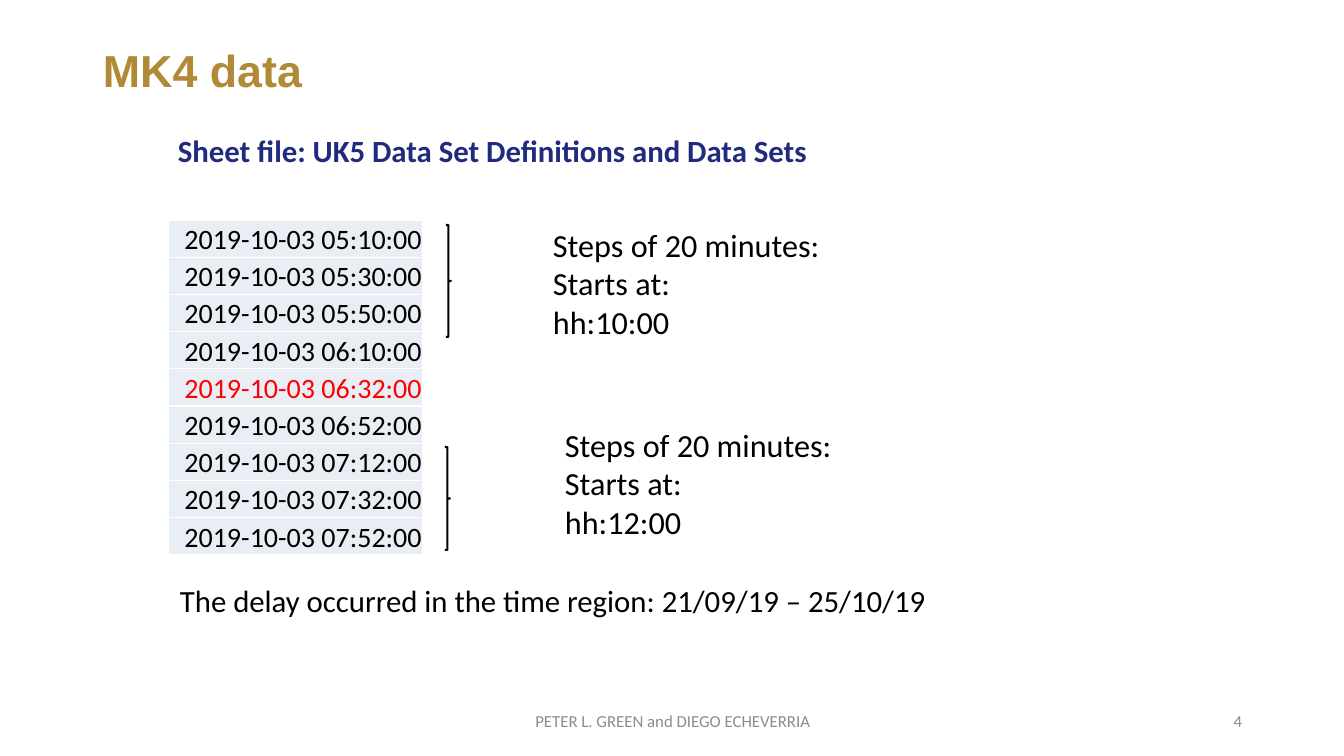
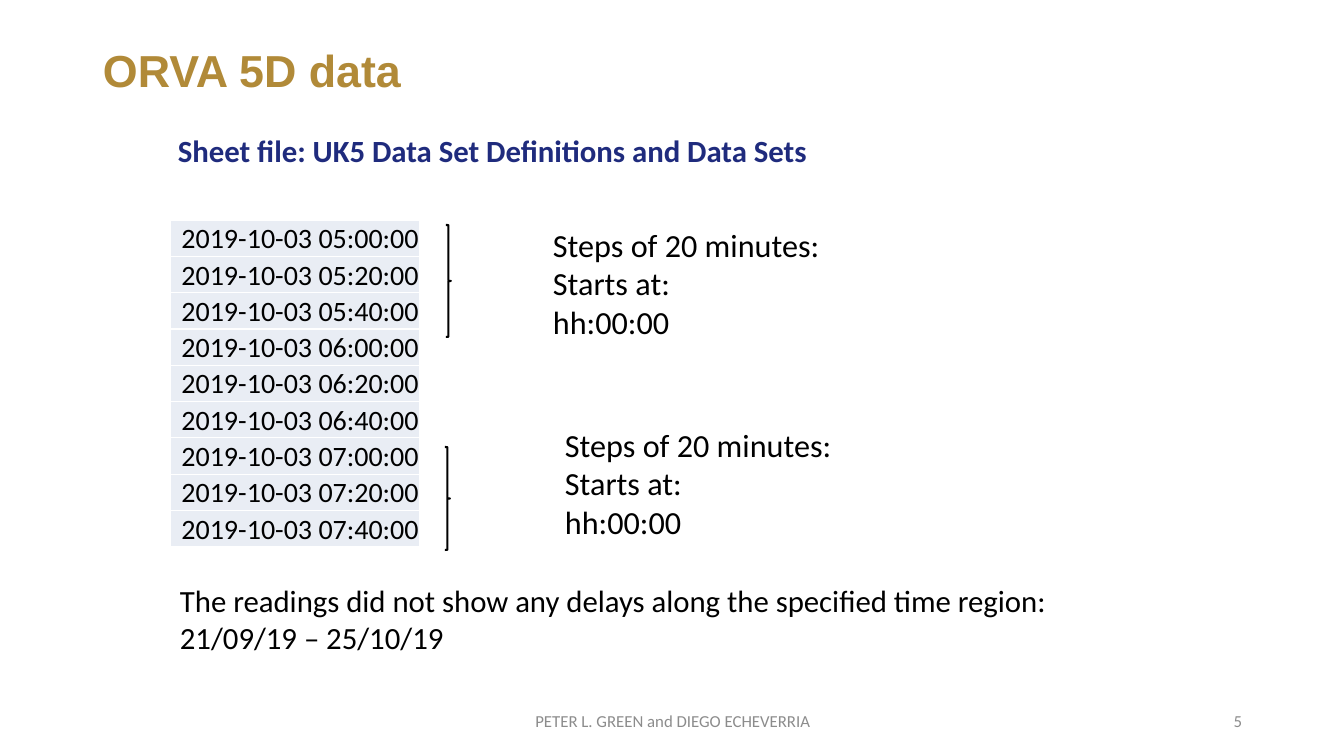
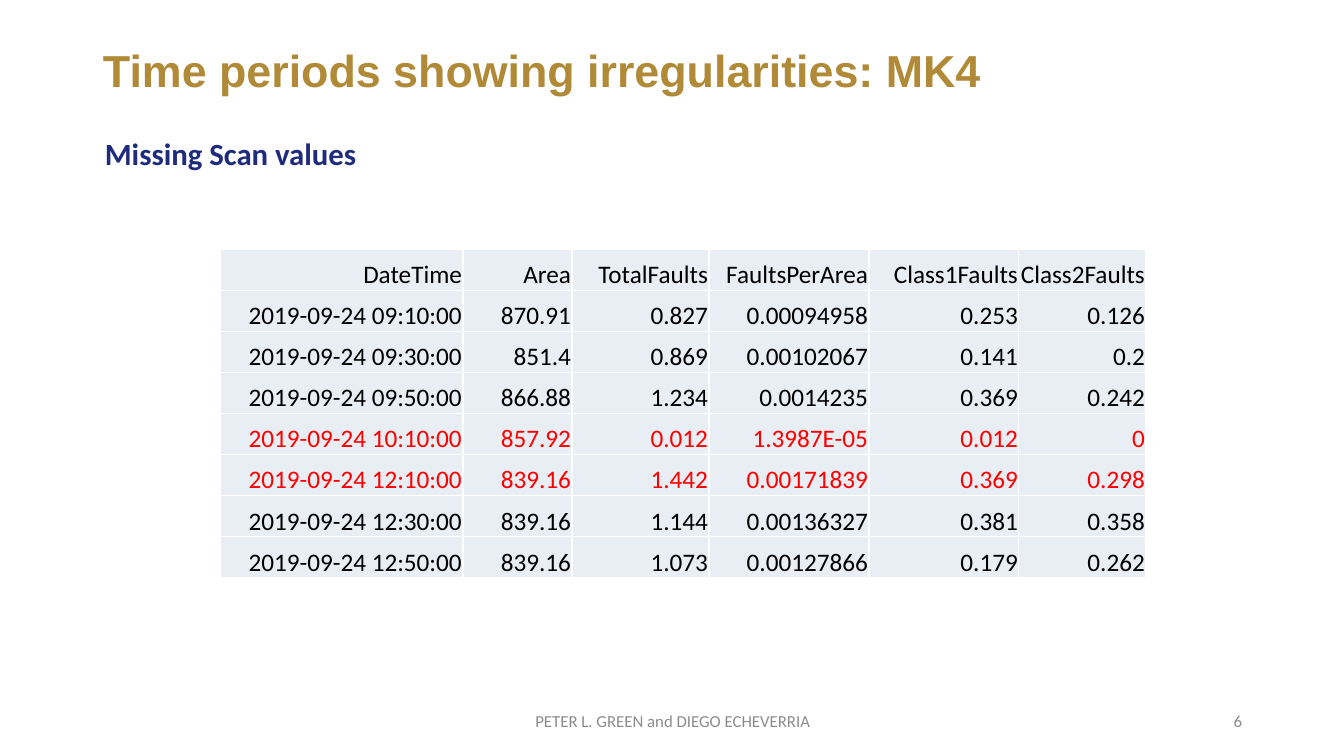
from pptx import Presentation
from pptx import util as u
from pptx.dml.color import RGBColor
from pptx.enum import shapes, text
from pptx.oxml.ns import qn
from lxml import etree

# Shared look
COLORS = {"title": "B18A38", "heading": "1F2B7D", "body": "000000", "alert": "FF0000",
          "footer": "8C8C8C", "cell": "E9EDF4", "border": "FFFFFF"}
SCALE = 914400 / 100.8  # EMU per px
LEFT, CENTER, RIGHT = text.PP_ALIGN.LEFT, text.PP_ALIGN.CENTER, text.PP_ALIGN.RIGHT
TOP, MIDDLE, BOTTOM = text.MSO_ANCHOR.TOP, text.MSO_ANCHOR.MIDDLE, text.MSO_ANCHOR.BOTTOM
AUTHORS = "PETER L. GREEN and DIEGO ECHEVERRIA"
FIRST_NUMBER = 4

# Content: table boxes are left, top, width, height
DATA_FILE = "Sheet file: UK5 Data Set Definitions and Data Sets"
STEP_DATE = "2019-10-03"
STEP_SLIDES = [
    {"title": "MK4 data",
     "times": ["05:10", "05:30", "05:50", "06:10", "06:32", "06:52", "07:12", "07:32", "07:52"],
     "alerts": {4}, "table": (168, 220, 255, 335), "starts": ["hh:10:00", "hh:12:00"],
     "finding": "The delay occurred in the time region: 21/09/19 – 25/10/19", "finding_height": 47},
    {"title": "ORVA 5D data",
     "times": ["05:00", "05:20", "05:40", "06:00", "06:20", "06:40", "07:00", "07:20", "07:40"],
     "alerts": set(), "table": (170, 220, 250, 327), "starts": ["hh:00:00", "hh:00:00"],
     "finding": "The readings did not show any delays along the specified time region: 21/09/19 – 25/10/19",
     "finding_height": 85},
]
BRACES = [(446, 225, 5, 112), (445, 447, 5, 103)]
STEP_NOTES = [(543, 220, 293, 127), (555, 420, 293, 127)]

FAULT_TITLE = "Time periods showing irregularities: MK4"
FAULT_HEADING = "Missing Scan values"
FAULT_TABLE = (220, 249, 926, 329)
FAULT_WIDTHS = [243, 109, 137, 160, 150, 127]
FAULT_ALERTS = {4, 5}
FAULT_ROWS = [
    ["DateTime", "Area", "TotalFaults", "FaultsPerArea", "Class1Faults", "Class2Faults"],
    ["2019-09-24 09:10:00", "870.91", "0.827", "0.00094958", "0.253", "0.126"],
    ["2019-09-24 09:30:00", "851.4", "0.869", "0.00102067", "0.141", "0.2"],
    ["2019-09-24 09:50:00", "866.88", "1.234", "0.0014235", "0.369", "0.242"],
    ["2019-09-24 10:10:00", "857.92", "0.012", "1.3987E-05", "0.012", "0"],
    ["2019-09-24 12:10:00", "839.16", "1.442", "0.00171839", "0.369", "0.298"],
    ["2019-09-24 12:30:00", "839.16", "1.144", "0.00136327", "0.381", "0.358"],
    ["2019-09-24 12:50:00", "839.16", "1.073", "0.00127866", "0.179", "0.262"],
]


def px(*lengths):
    return [u.Emu(round(length * SCALE)) for length in lengths]


def rgb(name):
    return RGBColor.from_string(COLORS[name])


def write(frame, lines, *, size, color="body", font="Calibri", bold=False, align=LEFT, spacing=None):
    for i, line in enumerate(lines):
        paragraph = frame.add_paragraph() if i else frame.paragraphs[0]
        paragraph.alignment = align
        if spacing:
            paragraph.line_spacing = spacing
        run = paragraph.add_run()
        run.text = line
        run.font.size, run.font.name, run.font.bold = u.Pt(size), font, bold
        run.font.color.rgb = rgb(color)


def add_text(slide, box, lines, *, anchor=TOP, **style):
    frame = slide.shapes.add_textbox(*px(*box)).text_frame
    frame.word_wrap = True
    frame.vertical_anchor = anchor
    write(frame, lines, **style)


def style_cell(cell):
    cell.fill.solid()
    cell.fill.fore_color.rgb = rgb("cell")
    cell.vertical_anchor = BOTTOM
    cell.margin_left, cell.margin_right, cell.margin_top, cell.margin_bottom = px(1, 1, 1, 0)
    # Borders come before the fill in the cell properties
    properties = cell._tc.get_or_add_tcPr()
    for i, side in enumerate(("a:lnL", "a:lnR", "a:lnT", "a:lnB")):
        line = etree.Element(qn(side), w=str(u.Pt(1)))
        fill = etree.SubElement(line, qn("a:solidFill"))
        etree.SubElement(fill, qn("a:srgbClr"), val=COLORS["border"])
        properties.insert(i, line)


def add_grid(slide, box, rows, widths, alerts, size):
    table = slide.shapes.add_table(len(rows), len(widths), *px(*box)).table
    table.first_row = table.horz_banding = False
    for column, width in zip(table.columns, widths):
        column.width = px(width)[0]
    for r, values in enumerate(rows):
        table.rows[r].height = px(box[3] / len(rows))[0]
        for c, value in enumerate(values):
            cell = table.cell(r, c)
            style_cell(cell)
            write(cell.text_frame, [value], size=size, align=RIGHT,
                  color="alert" if r in alerts else "body")


def add_brace(slide, box):
    brace = slide.shapes.add_shape(shapes.MSO_SHAPE.RIGHT_BRACE, *px(*box))
    brace.shadow.inherit = False
    brace.fill.background()
    brace.line.color.rgb = rgb("body")
    brace.line.width = u.Pt(1.5)


def add_page(deck, title, heading, heading_box):
    slide = deck.slides.add_slide(deck.slide_layouts[6])
    number = FIRST_NUMBER + len(deck.slides) - 1
    add_text(slide, (93, 40, 1159, 67), [title], anchor=MIDDLE, size=32, color="title",
             font="Arial", bold=True, spacing=0.9)
    add_text(slide, heading_box, [heading], size=22, color="heading", bold=True)
    for box, label, align in (((446, 701, 454, 40), AUTHORS, CENTER),
                              ((950, 701, 302, 40), str(number), RIGHT)):
        add_text(slide, box, [label], anchor=MIDDLE, size=12, color="footer", align=align)
    return slide


def main():
    deck = Presentation()
    deck.slide_width, deck.slide_height = px(1344, 756)

    # Time steps of each instrument
    for page in STEP_SLIDES:
        slide = add_page(deck, page["title"], DATA_FILE, (168, 127, 671, 47))
        stamps = [[f"{STEP_DATE} {time}:00"] for time in page["times"]]
        add_grid(slide, page["table"], stamps, [page["table"][2]], page["alerts"], 20)
        for brace, note, start in zip(BRACES, STEP_NOTES, page["starts"]):
            add_brace(slide, brace)
            add_text(slide, note, ["Steps of 20 minutes:", "Starts at:", start], size=23)
        add_text(slide, (170, 577, 954, page["finding_height"]), [page["finding"]], size=22)

    # Fault readings
    slide = add_page(deck, FAULT_TITLE, FAULT_HEADING, (95, 130, 1125, 47))
    add_grid(slide, FAULT_TABLE, FAULT_ROWS, FAULT_WIDTHS, FAULT_ALERTS, 18)

    deck.save("out.pptx")


if __name__ == "__main__":
    main()
